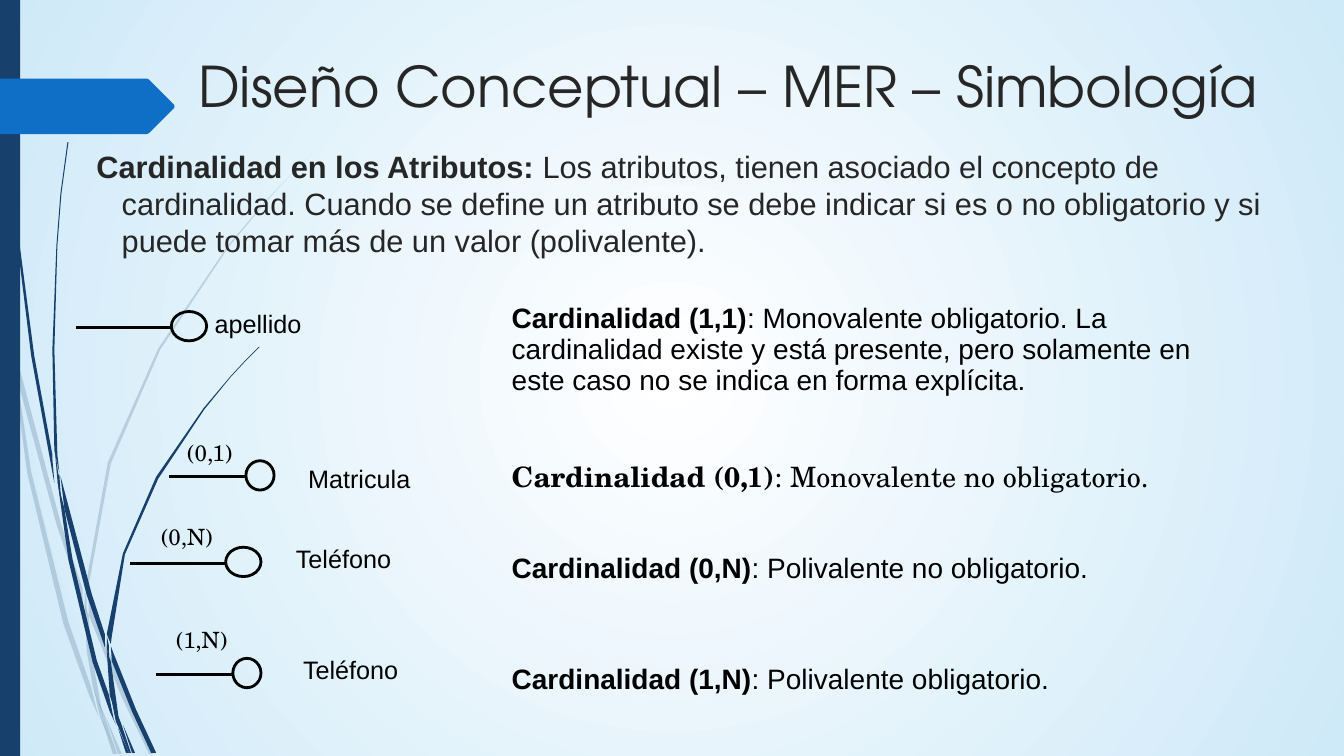
from lxml import etree
from pptx import Presentation
from pptx.dml.color import RGBColor
from pptx.enum.shapes import MSO_CONNECTOR, MSO_SHAPE
from pptx.enum.text import MSO_ANCHOR
from pptx.oxml.ns import qn
from pptx.util import Cm, Pt

NAVY = RGBColor(0x17, 0x40, 0x6D)
BLUE = RGBColor(0x0F, 0x6F, 0xC6)
CHARCOAL = RGBColor(0x26, 0x26, 0x26)
BLACK = RGBColor(0, 0, 0)
WHITE = RGBColor(0xFF, 0xFF, 0xFF)
PALE_BLUE = RGBColor(0xCE, 0xE9, 0xF8)
STRAIGHT = MSO_CONNECTOR.STRAIGHT
OVAL = MSO_SHAPE.OVAL
RECTANGLE = MSO_SHAPE.RECTANGLE
MIDDLE = MSO_ANCHOR.MIDDLE
SANS, SERIF, DISPLAY = "Arial", "TeX Gyre Schola", "TeX Gyre Adventor"

deck = Presentation()
deck.slide_width, deck.slide_height = Cm(33.88), Cm(19.05)
page = deck.slides.add_slide(deck.slide_layouts[6])


def add_text(left, top, width, height, runs, size, font=SANS, color=BLACK, spacing=0.93):
    """Add a text box; runs are (text, bold) pairs."""
    box = page.shapes.add_textbox(Cm(left), Cm(top), Cm(width), Cm(height))
    box.text_frame.word_wrap = True
    para = box.text_frame.paragraphs[0]
    para.line_spacing = spacing
    for text, bold in runs:
        span = para.add_run()
        span.text = text
        span.font.name = font
        span.font.size = Pt(size)
        span.font.bold = bold
        span.font.color.rgb = color
    return box


def add_outline(points, color):
    """Add a filled outline; points are in hundredths of an inch."""
    builder = page.shapes.build_freeform(*points[0], scale=Cm(0.0254))
    builder.add_line_segments(points[1:], close=True)
    outline = builder.convert_to_shape()
    outline.fill.solid()
    outline.fill.fore_color.rgb = color
    outline.line.fill.background()
    outline.shadow.inherit = False
    return outline


# Background: white centre fading to pale blue
backdrop = page.background.fill
backdrop.gradient()
for stop, color in zip(backdrop.gradient_stops, (WHITE, PALE_BLUE)):
    stop.color.rgb = color
gradient = page.element.find(".//" + qn("a:gradFill"))
gradient.remove(gradient.find(qn("a:lin")))
circle = etree.SubElement(gradient, qn("a:path"), {"path": "circle"})
etree.SubElement(circle, qn("a:fillToRect"), dict.fromkeys("ltrb", "50000"))

# Grass blades: a faint group behind a solid one
faint_blades = [
    [(8, 347), (6, 320), (0, 282), (0, 299), (8, 342)],
    [(56, 520), (82, 597), (82, 584), (60, 518), (14, 345), (17, 376)],
    [(92, 607), (88, 596), (88, 610), (121, 692), (148, 748), (152, 748), (126, 690)],
    [(117, 748), (121, 748), (105, 711)],
    [(90, 680), (68, 617), (31, 468), (17, 376), (11, 350), (27, 469), (63, 619),
     (89, 691), (98, 711), (96, 704)],
    [(84, 599), (86, 645), (92, 681), (95, 690), (102, 709), (101, 704), (90, 644),
     (88, 610), (87, 608)],
    [(88, 581), (110, 460), (159, 347), (227, 245), (266, 198), (287, 175), (309, 153),
     (287, 175), (266, 197), (226, 244), (157, 346), (107, 459), (85, 581), (85, 584),
     (88, 593)],
    [(101, 714), (112, 748), (116, 748)],
    [(85, 606), (86, 608), (86, 595), (84, 586), (84, 598)],
    [(96, 692), (93, 683), (98, 706), (100, 713), (116, 748), (104, 710)],
]
solid_blades = [
    [(6, 109), (16, 232), (31, 353), (53, 474), (54, 479), (52, 455), (52, 451),
     (34, 353), (18, 231), (7, 109), (4, 48), (3, 0), (3, 48)],
    [(86, 590), (104, 642), (104, 631), (104, 629), (91, 589), (60, 472), (64, 505)],
    [(113, 649), (110, 641), (111, 656), (131, 706), (150, 747), (155, 747), (135, 704)],
    [(108, 689), (96, 655), (72, 555), (64, 505), (57, 477), (68, 556), (92, 657),
     (109, 706), (115, 719), (113, 714)],
    [(59, 469), (57, 451), (54, 347), (57, 244), (61, 192), (68, 141), (67, 141),
     (60, 192), (56, 244), (52, 347), (54, 447)],
    [(131, 747), (134, 747), (122, 719)],
    [(57, 476), (61, 502), (59, 471), (58, 471), (55, 449), (55, 453)],
    [(111, 631), (124, 550), (157, 475), (203, 406), (229, 374), (243, 359), (258, 344),
     (257, 344), (243, 358), (229, 373), (202, 405), (155, 473), (122, 549), (106, 629),
     (110, 639)],
    [(117, 722), (125, 747), (128, 747)],
    [(106, 645), (109, 690), (114, 704), (119, 716), (118, 713), (110, 656), (108, 651)],
    [(106, 643), (107, 648), (108, 653), (108, 640), (106, 631), (106, 633)],
    [(115, 705), (110, 691), (115, 716), (117, 720), (128, 747), (130, 747), (120, 717)],
]
for points in faint_blades:
    blade = add_outline(points, NAVY)
    tint = blade.element.spPr.find(qn("a:solidFill"))[0]
    etree.SubElement(tint, qn("a:alpha"), val="19000")
for points in solid_blades:
    add_outline(points, NAVY)

# Side bar and arrow tag
bar = page.shapes.add_shape(RECTANGLE, 0, 0, Cm(0.51), deck.slide_height)
bar.fill.solid()
bar.fill.fore_color.rgb = NAVY
bar.line.fill.background()
bar.shadow.inherit = False
add_outline([(-1, 78), (146, 78), (148, 79), (173, 104), (173, 107), (148, 132),
             (146, 133), (-1, 133)], BLUE)

# Title
title = add_text(5, 0.41, 27.2, 3.56, [("Diseño Conceptual – MER – Simbología", False)],
                 40, DISPLAY, CHARCOAL, 0.98)
frame = title.text_frame
frame.vertical_anchor = MIDDLE
frame.margin_left = frame.margin_right = frame.margin_bottom = 0
frame.margin_top = Cm(0.03)

# Introduction with a hanging indent
intro = add_text(1.8, 3.61, 30.81, 2.39, [
    ("Cardinalidad en los Atributos: ", True),
    ("Los atributos, tienen asociado el concepto de cardinalidad. Cuando se define un "
     "atributo se debe indicar si es o no obligatorio y si puede tomar más de un valor "
     "(polivalente).", False)], 22, color=CHARCOAL, spacing=1.0)
indent = intro.text_frame.paragraphs[0]._p.get_or_add_pPr()
indent.set("marL", str(Cm(1.02)))
indent.set("indent", str(Cm(-0.64)))

# Attribute symbols: stem start, ring left, ring top, ring width
symbols = [(1.91, 4.32, 7.85, 0.89), (4.27, 6.2, 11.61, 0.71),
           (3.28, 5.69, 13.79, 0.89), (3.94, 5.87, 16.59, 0.71)]
for stem_left, ring_left, ring_top, ring_width in symbols:
    ring = page.shapes.add_shape(OVAL, Cm(ring_left), Cm(ring_top), Cm(ring_width), Cm(0.74))
    ring.fill.background()
    ring.shadow.inherit = False
    stem_y = Cm(ring_top + 0.4)
    stem = page.shapes.add_connector(STRAIGHT, Cm(ring_left), stem_y, Cm(stem_left), stem_y)
    etree.SubElement(stem.element.spPr, qn("a:effectLst"))
    for drawn in (ring, stem):
        drawn.line.color.rgb = BLACK
        drawn.line.width = Pt(2)

# Attribute names
for name, left, top in [("apellido", 5.16, 7.72), ("Matricula", 7.52, 11.61),
                        ("Teléfono", 7.21, 13.64), ("Teléfono", 7.39, 16.43)]:
    add_text(left, top, 4.5, 1.02, [(name, False)], 18)

# Cardinalities above the stems
for pair, left, top in [("(0,1)", 4.47, 11), ("(0,N)", 3.81, 13.11), ("(1,N)", 4.19, 15.72)]:
    add_text(left, top, 2.5, 0.91, [(pair, False)], 16, SERIF)

# Explanations
explanations = [
    ("(1,1)", ": Monovalente obligatorio. La cardinalidad existe y está presente, pero "
     "solamente en este caso no se indica en forma explícita.", 7.52, 3.45, SANS),
    ("(0,1)", ": Monovalente no obligatorio.", 11.53, 1.88, SERIF),
    ("(0,N)", ": Polivalente no obligatorio.", 13.82, 1.09, SANS),
    ("(1,N)", ": Polivalente obligatorio.", 16.61, 1.09, SANS),
]
for pair, meaning, top, height, font in explanations:
    add_text(12.65, top, 17.96, height,
             [("Cardinalidad " + pair, True), (meaning, False)], 20, font)

deck.save("out.pptx")
